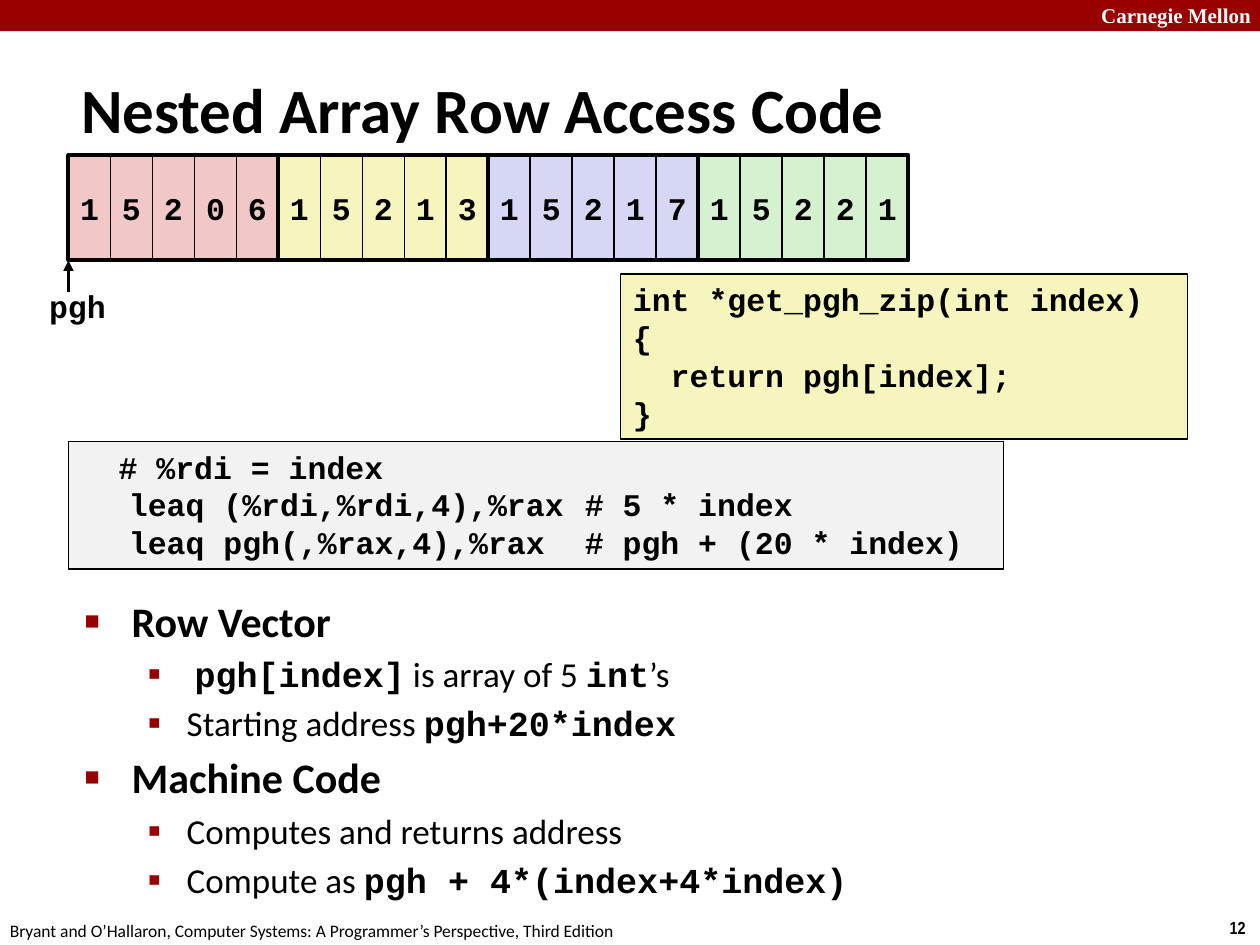
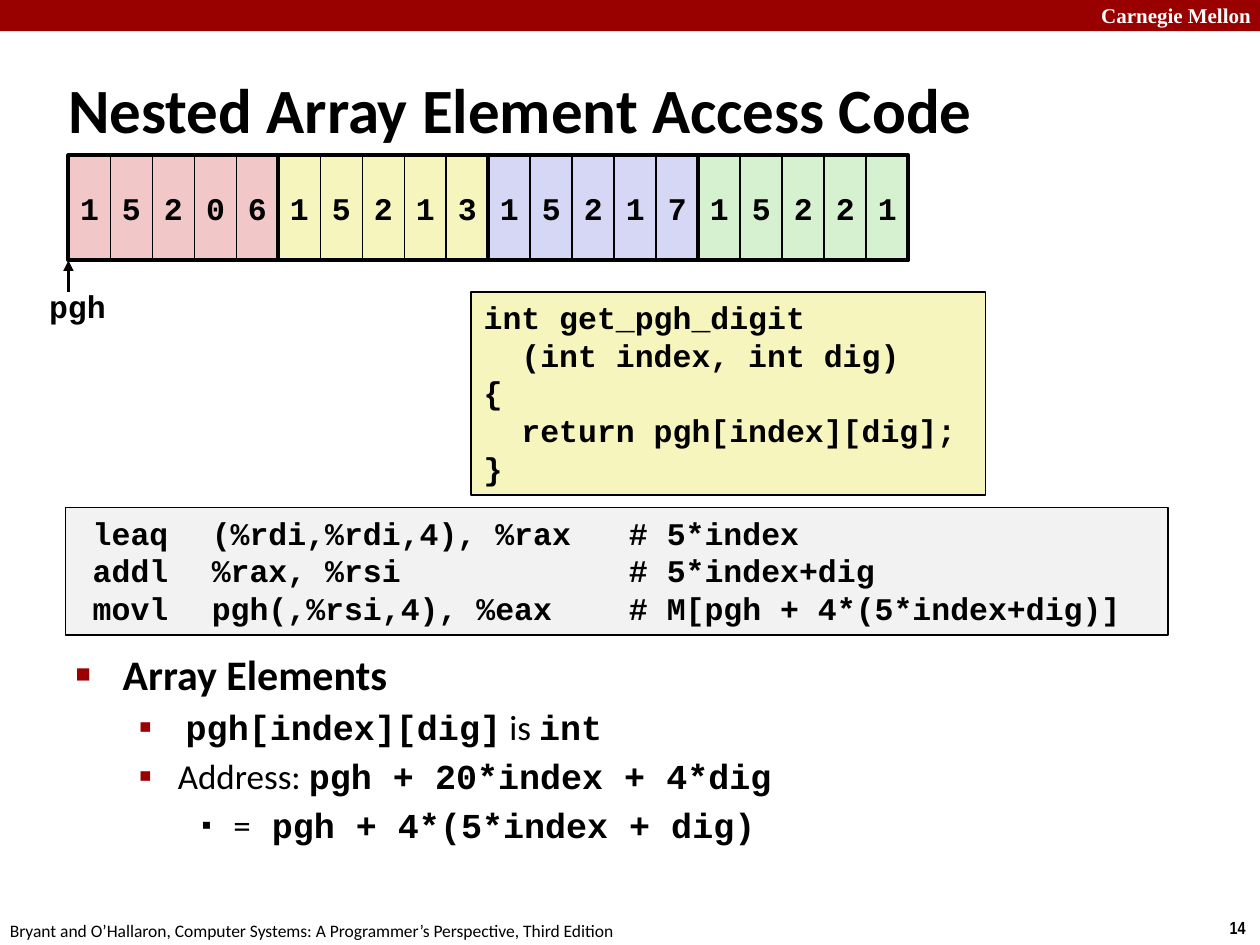
from dataclasses import dataclass

from lxml.etree import SubElement
from pptx import Presentation
from pptx.dml.color import RGBColor
from pptx.enum.shapes import MSO_CONNECTOR, MSO_SHAPE
from pptx.enum.text import MSO_ANCHOR, MSO_AUTO_SIZE, PP_ALIGN
from pptx.oxml.ns import qn
from pptx.util import Cm, Pt


@dataclass(frozen=True)
class Theme:
    band: str = "990000"
    ink: str = "000000"
    paper: str = "FFFFFF"
    source_fill: str = "F6F5BD"
    assembly_fill: str = "F2F2F2"
    row_fills: tuple = ("F1C7C7", "F6F5BD", "D6D6F5", "D5F1CF")
    text_font: str = "Calibri"
    code_font: str = "Courier New"
    school_font: str = "Times New Roman"
    number_font: str = "Arial Narrow"
    title_size: int = 36
    level_sizes: tuple = (24, 20, 20)
    code_size: int = 18
    school_size: int = 12
    footer_size: int = 10


@dataclass(frozen=True)
class Box:
    """A rectangle in centimetres."""
    left: float
    top: float
    width: float
    height: float

    def emu(self):
        return Cm(self.left), Cm(self.top), Cm(self.width), Cm(self.height)


@dataclass(frozen=True)
class Bullet:
    mark: str
    colour: str
    percent: int
    margin: float
    hanging: float


THEME = Theme()
BULLETS = (
    Bullet("■", THEME.band, 60, 0.95, 0.95),
    Bullet("▪", THEME.band, 110, 2.06, 0.79),
    Bullet("▪", THEME.ink, 80, 3.18, 0.64),
)
SCHOOL = "Carnegie Mellon"
BOOK = ("Bryant and O’Hallaron, Computer Systems: "
        "A Programmer’s Perspective, Third Edition")
ARRAY_BOX = Box(1.38, 3.13, 16.93, 2.12)
ZIP_CODES = ("15206", "15213", "15217", "15221")


def style_font(font, name, size, bold=False, colour=THEME.ink):
    font.name = name
    font.size = Pt(size)
    font.bold = bold
    font.color.rgb = RGBColor.from_string(colour)


def add_rectangle(shapes, box, fill=None, line_width=None):
    rectangle = shapes.add_shape(MSO_SHAPE.RECTANGLE, *box.emu())
    rectangle.shadow.inherit = False
    if fill:
        rectangle.fill.solid()
        rectangle.fill.fore_color.rgb = RGBColor.from_string(fill)
    else:
        rectangle.fill.background()
    if line_width:
        rectangle.line.color.rgb = RGBColor.from_string(THEME.ink)
        rectangle.line.width = Pt(line_width)
    else:
        rectangle.line.fill.background()
    return rectangle


def add_label(shapes, box, text, font_name, size, bold=False,
              colour=THEME.ink):
    frame = shapes.add_textbox(*box.emu()).text_frame
    frame.word_wrap = False
    frame.text = text
    style_font(frame.paragraphs[0].font, font_name, size, bold, colour)


def add_slide_frame(slide, number):
    """Draw the top band and the footer."""
    add_rectangle(slide.shapes, Box(0, 0, 25.4, 0.63), THEME.band)
    add_label(slide.shapes, Box(21.95, -0.08, 3.63, 0.76), SCHOOL,
              THEME.school_font, THEME.school_size, True, THEME.paper)
    add_label(slide.shapes, Box(24.54, 18.36, 0.86, 0.69), str(number),
              THEME.number_font, THEME.footer_size, True)
    add_label(slide.shapes, Box(-0.05, 18.42, 12.9, 0.69), BOOK,
              THEME.text_font, THEME.footer_size)


def place_placeholder(placeholder, box, anchor):
    placeholder.left, placeholder.top, placeholder.width, placeholder.height = box.emu()
    frame = placeholder.text_frame
    frame.auto_size = MSO_AUTO_SIZE.NONE
    frame.word_wrap = True
    frame.vertical_anchor = anchor
    return frame


def fill_title(slide, box, text):
    frame = place_placeholder(slide.shapes.title, box, MSO_ANCHOR.MIDDLE)
    frame.text = text
    heading = frame.paragraphs[0]
    heading.alignment = PP_ALIGN.LEFT
    style_font(heading.font, THEME.text_font, THEME.title_size, True)


def set_bullet(paragraph, bullet):
    properties = paragraph._p.get_or_add_pPr()
    properties.set("marL", str(Cm(bullet.margin)))
    properties.set("indent", str(-Cm(bullet.hanging)))
    colour = SubElement(properties, qn("a:buClr"))
    SubElement(colour, qn("a:srgbClr"), val=bullet.colour)
    SubElement(properties, qn("a:buSzPct"), val=str(bullet.percent * 1000))
    SubElement(properties, qn("a:buFont"), typeface="Arial")
    SubElement(properties, qn("a:buChar"), char=bullet.mark)


def fill_points(slide, box, points):
    """Fill the body with (level, text) points; backticks enclose code."""
    frame = place_placeholder(slide.placeholders[1], box, MSO_ANCHOR.TOP)
    for index, (level, text) in enumerate(points):
        point = frame.add_paragraph() if index else frame.paragraphs[0]
        size = THEME.level_sizes[level]
        point.level = level
        set_bullet(point, BULLETS[level])
        point.space_before = Pt(0.2 * size if index else 0)
        point.font.size = Pt(size)
        for part, words in enumerate(text.split("`")):
            if words:
                is_code = part % 2 == 1
                run = point.add_run()
                run.text = words
                style_font(run.font,
                           THEME.code_font if is_code else THEME.text_font,
                           size, is_code or level == 0)


def set_tabs(paragraph, stops):
    tab_list = SubElement(paragraph._p.get_or_add_pPr(), qn("a:tabLst"))
    for stop in stops:
        SubElement(tab_list, qn("a:tab"), pos=str(Cm(stop)), algn="l")


def add_code(slide, box, fill, lines, tabs=()):
    frame = add_rectangle(slide.shapes, box, fill, 1).text_frame
    frame.word_wrap = True
    frame.vertical_anchor = MSO_ANCHOR.TOP
    frame.text = "\n".join(lines)
    for line in frame.paragraphs:
        line.alignment = PP_ALIGN.LEFT
        if tabs:
            set_tabs(line, tabs)
        style_font(line.font, THEME.code_font, THEME.code_size, True)


def add_digit(shapes, box, digit, fill):
    frame = add_rectangle(shapes, box, fill, 1).text_frame
    frame.word_wrap = False
    frame.vertical_anchor = MSO_ANCHOR.MIDDLE
    frame.text = digit
    frame.paragraphs[0].alignment = PP_ALIGN.CENTER
    style_font(frame.paragraphs[0].font, THEME.code_font, THEME.code_size, True)


def add_start_pointer(shapes, box):
    """Point an arrow labelled pgh at the lower left corner of the box."""
    bottom = box.top + box.height
    arrow = shapes.add_connector(
        MSO_CONNECTOR.STRAIGHT, Cm(box.left), Cm(bottom + 0.64),
        Cm(box.left), Cm(bottom))
    arrow.line.color.rgb = RGBColor.from_string(THEME.ink)
    arrow.line.width = Pt(2)
    properties = arrow.element.spPr
    SubElement(properties.find(qn("a:ln")), qn("a:tailEnd"), type="triangle")
    SubElement(properties, qn("a:effectLst"))
    add_label(shapes, Box(box.left - 0.64, bottom + 0.42, 1.68, 1.02), "pgh",
              THEME.code_font, THEME.code_size, True)


def add_nested_array(slide, box):
    shapes = slide.shapes.add_group_shape().shapes
    add_start_pointer(shapes, box)
    row_width = box.width / len(ZIP_CODES)
    row_boxes = [Box(box.left + row * row_width, box.top, row_width, box.height)
                 for row in range(len(ZIP_CODES))]
    for row_box, zip_code, fill in zip(row_boxes, ZIP_CODES, THEME.row_fills):
        digit_width = row_width / len(zip_code)
        for column, digit in enumerate(zip_code):
            digit_box = Box(row_box.left + column * digit_width, box.top,
                            digit_width, box.height)
            add_digit(shapes, digit_box, digit, fill)
    for row_box in row_boxes:
        add_rectangle(shapes, row_box, line_width=2.25)


def add_access_slide(deck, number, title, source, assembly, points):
    """Add a slide; each part is its box followed by its content."""
    slide = deck.slides.add_slide(deck.slide_layouts[1])
    add_slide_frame(slide, number)
    fill_title(slide, *title)
    fill_points(slide, *points)
    source_box, source_lines = source
    add_code(slide, source_box, THEME.source_fill, source_lines)
    assembly_box, assembly_lines, tabs = assembly
    add_code(slide, assembly_box, THEME.assembly_fill, assembly_lines, tabs)
    add_nested_array(slide, ARRAY_BOX)


def main():
    deck = Presentation()
    deck.slide_width, deck.slide_height = Cm(25.4), Cm(19.05)
    add_access_slide(
        deck, 12,
        title=(Box(1.38, 1.38, 21.23, 1.59), "Nested Array Row Access Code"),
        source=(Box(12.51, 5.53, 11.43, 3.32), (
            "int *get_pgh_zip(int index)",
            "{",
            "  return pgh[index];",
            "}")),
        assembly=(Box(1.38, 8.9, 18.85, 2.57), (
            "  # %rdi = index",
            "\tleaq (%rdi,%rdi,4),%rax\t# 5 * index",
            "\tleaq pgh(,%rax,4),%rax\t# pgh + (20 * index)"), (0.97, 10.16)),
        points=(Box(1.45, 11.87, 20.57, 6.78), (
            (0, "Row Vector"),
            (1, " `pgh[index]` is array of 5 `int`’s"),
            (1, "Starting address `pgh+20*index`"),
            (0, "Machine Code"),
            (1, "Computes and returns address"),
            (1, "Compute as `pgh + 4*(index+4*index)`"))))
    add_access_slide(
        deck, 14,
        title=(Box(1.12, 1.38, 23.01, 1.59), "Nested Array Element Access Code"),
        source=(Box(9.5, 5.88, 10.37, 4.1), (
            "int get_pgh_digit",
            "  (int index, int dig)",
            "{",
            "  return pgh[index][dig];",
            "}")),
        assembly=(Box(1.32, 10.23, 22.23, 2.57), (
            "\tleaq\t(%rdi,%rdi,4), %rax\t# 5*index",
            "\taddl\t%rax, %rsi\t# 5*index+dig",
            "\tmovl\tpgh(,%rsi,4), %eax\t# M[pgh + 4*(5*index+dig)]"),
            (0.3, 2.7, 11.11)),
        points=(Box(1.27, 12.94, 23.11, 4.85), (
            (0, "Array Elements"),
            (1, " `pgh[index][dig]` is `int`"),
            (1, "Address: `pgh + 20*index + 4*dig`"),
            (2, "=` pgh + 4*(5*index + dig)`"))))
    deck.save("out.pptx")


if __name__ == "__main__":
    main()
